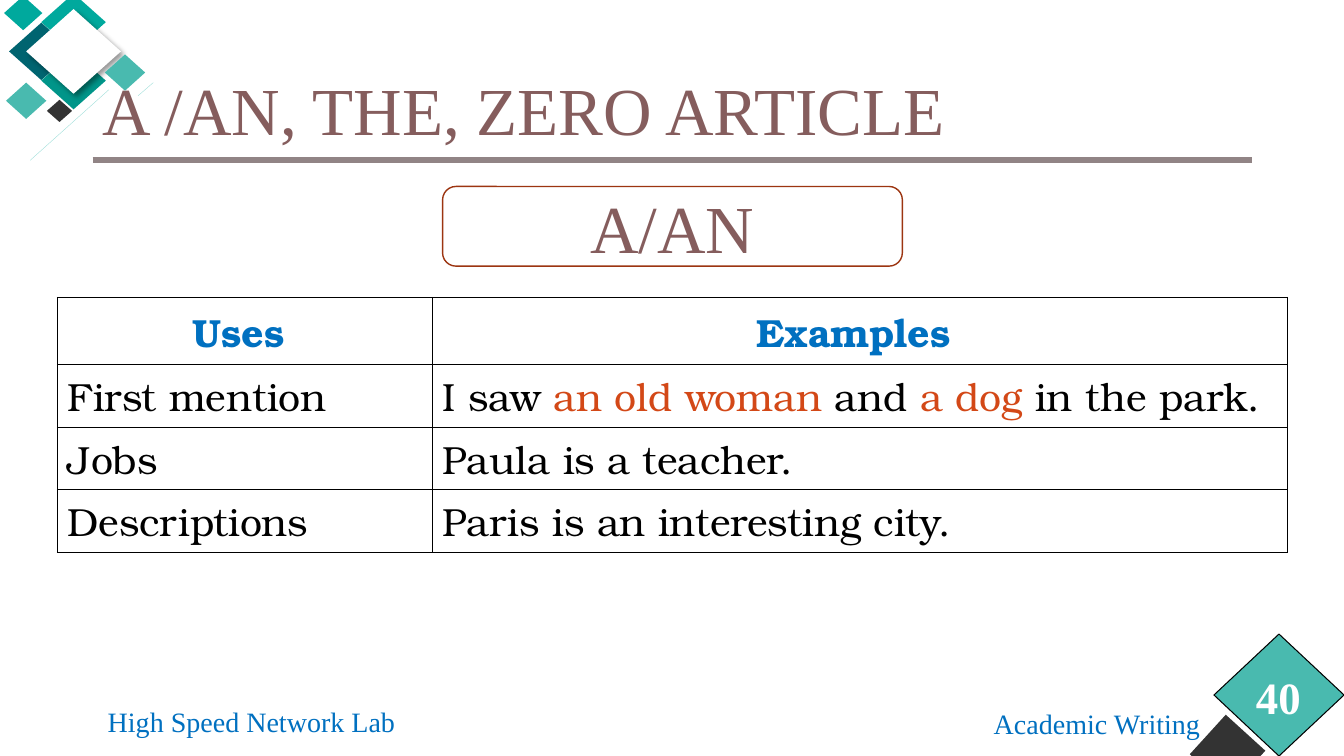
from dataclasses import dataclass

from lxml import etree
from pptx import Presentation
from pptx.dml.color import RGBColor
from pptx.enum import shapes, text
from pptx.oxml import parse_xml
from pptx.oxml import ns
from pptx.util import Inches, Pt


@dataclass(frozen=True)
class Theme:
    serif: str = "Times New Roman"
    bookish: str = "TeX Gyre Bonum"
    white: str = "FFFFFF"
    black: str = "000000"
    heading: str = "855D5D"
    rule: str = "918485"
    blue: str = "0070C0"
    accent: str = "D34817"
    frame: str = "9C3511"
    teal: str = "49BAAF"
    green: str = "00A99D"
    mid_green: str = "009589"
    deep: str = "006470"
    pale: str = "99DDD8"
    dark: str = "333333"
    title_size: int = 48
    number_size: int = 32
    table_size: int = 28
    footer_size: int = 20


T = Theme()
LEFT, CENTER = text.PP_ALIGN.LEFT, text.PP_ALIGN.CENTER
MIDDLE, TOP = text.MSO_ANCHOR.MIDDLE, text.MSO_ANCHOR.TOP


def rgb(value):
    return RGBColor.from_string(value)


def inches(box):
    return [Inches(v) for v in box]


def write(tf, runs, size, color, font=T.serif, bold=False, align=LEFT, anchor=MIDDLE):
    """Fill a frame with one paragraph; runs is a string or (words, color) pairs."""
    tf.word_wrap = True
    tf.vertical_anchor = anchor
    p = tf.paragraphs[0]
    p.alignment = align
    for words, run_color in [(runs, color)] if isinstance(runs, str) else runs:
        r = p.add_run()
        r.text = words
        r.font.name, r.font.size, r.font.bold = font, Pt(size), bold
        r.font.color.rgb = rgb(run_color)
    return p


def add_text(s, box, words, size, color, **style):
    return write(s.shapes.add_textbox(*inches(box)).text_frame, words, size, color, **style)


def add_filled(s, kind, box, fill, line=None, width=1):
    sp = s.shapes.add_shape(kind, *inches(box))
    sp.shadow.inherit = False
    sp.fill.solid()
    sp.fill.fore_color.rgb = rgb(fill)
    if line:
        sp.line.color.rgb = rgb(line)
        sp.line.width = Pt(width)
    else:
        sp.line.fill.background()
    return sp


def add_diamond(s, box, fill, **line):
    return add_filled(s, shapes.MSO_SHAPE.DIAMOND, box, fill, **line)


def add_line(s, start, end, color, width):
    c = s.shapes.add_connector(shapes.MSO_CONNECTOR.STRAIGHT, *inches(start + end))
    c.line.color.rgb = rgb(color)
    c.line.width = Pt(width)
    etree.SubElement(c._element.spPr, ns.qn("a:effectLst"))


def cast_shadow(sp):
    effects = sp._element.spPr.find(ns.qn("a:effectLst"))
    effects.append(parse_xml(
        f'<a:outerShdw {ns.nsdecls("a")} blurRad="{Pt(4)}" dist="{Pt(3)}" dir="2700000" '
        'algn="tl" rotWithShape="0"><a:srgbClr val="000000"><a:alpha val="40000"/>'
        '</a:srgbClr></a:outerShdw>'))


def corner_ornament(s, x, y):
    """Cluster of diamonds around a white one centred on x, y."""
    def diamond(dx, dy, w, h, fill):
        return add_diamond(s, (x + dx - w / 2, y + dy - h / 2, w, h), fill)

    add_line(s, (x + 0.35, y + 0.38), (x - 0.43, y + 1.08), T.pale, 0.25)
    add_line(s, (x + 0.64, y + 0.44), (x + 0.79, y + 0.31), T.pale, 0.25)
    for dx, dy, fill in [(-0.32, 0, T.deep), (0, -0.29, T.green), (0, 0.29, T.mid_green)]:
        diamond(dx, dy, 0.64, 0.57, fill)
    diamond(-0.5, -0.38, 0.38, 0.34, T.green)
    diamond(-0.14, 0.59, 0.25, 0.22, T.dark)
    cast_shadow(diamond(0, 0, 0.94, 0.84, T.white))
    for dx, dy in [(0.51, 0.21), (-0.47, 0.49)]:
        diamond(dx, dy, 0.4, 0.36, T.teal)


def title_region(s, x, y, w, h):
    title = s.shapes.title
    title.left, title.top, title.width, title.height = inches((x, y, w, h))
    p = write(title.text_frame, "A /AN, THE, ZERO ARTICLE", T.title_size, T.heading)
    p.line_spacing = 0.9
    add_line(s, (x, y + 1.19), (x + w, y + 1.19), T.rule, 4.5)


def topic_badge(s, box, words):
    sp = add_filled(s, shapes.MSO_SHAPE.ROUNDED_RECTANGLE, box, T.white, line=T.frame)
    write(sp.text_frame, words, T.title_size, T.heading, align=CENTER)


def border_cell(cell):
    tc_pr = cell._tc.get_or_add_tcPr()
    for i, side in enumerate(("lnL", "lnR", "lnT", "lnB")):
        tc_pr.insert(i, parse_xml(
            f'<a:{side} {ns.nsdecls("a")} w="{Pt(1)}"><a:solidFill>'
            f'<a:srgbClr val="{T.black}"/></a:solidFill></a:{side}>'))


def usage_table(s, x, y, widths, heights, rows):
    box = (x, y, sum(widths), sum(heights))
    table = s.shapes.add_table(len(rows), len(widths), *inches(box)).table
    table.first_row = table.horz_banding = False
    for column, width in zip(table.columns, widths):
        column.width = Inches(width)
    for i, (row, height) in enumerate(zip(rows, heights)):
        table.rows[i].height = Inches(height)
        header = i == 0
        for j, words in enumerate(row):
            cell = table.cell(i, j)
            cell.fill.background()
            border_cell(cell)
            write(cell.text_frame, words, T.table_size, T.blue if header else T.black,
                  font=T.bookish, bold=header, align=CENTER if header else LEFT, anchor=TOP)


def footer(s, x, y):
    add_text(s, (x, y, 3.32, 0.46), "High Speed Network Lab", T.footer_size, T.blue)
    p = add_text(s, (x + 8.74, y + 0.03, 2.34, 0.44), "Academic Writing",
                 T.footer_size, T.blue, align=CENTER, anchor=TOP)
    p.space_before = Pt(0)


def page_number(s, x, y, number):
    add_diamond(s, (x - 0.24, y + 0.8, 0.75, 0.75), T.dark).rotation = 357.3
    add_diamond(s, (x, y, 1.29, 1.21), T.teal, line=T.black, width=0.75)
    add_text(s, (x - 0.08, y + 0.24, 1.44, 0.76), number, T.number_size, T.white,
             bold=True, align=CENTER)


def article_slide(prs):
    s = prs.slides.add_slide(prs.slide_layouts[5])
    corner_ornament(s, 0.73, 0.51)
    title_region(s, 0.92, 0.4, 11.5, 1.45)
    topic_badge(s, (4.39, 1.85, 4.56, 0.79), "A/AN")
    sentence = [("I saw ", T.black), ("an old woman ", T.accent), ("and ", T.black),
                ("a dog ", T.accent), ("in the park.", T.black)]
    usage_table(s, 0.57, 2.95, (3.72, 8.48), (0.67, 0.62, 0.62, 0.62), [
        ("Uses ", "Examples "),
        ("First mention", sentence),
        ("Jobs", "Paula is a teacher."),
        ("Descriptions", "Paris is an interesting city."),
    ])
    footer(s, 0.97, 6.93)
    page_number(s, 12.04, 6.29, "40")


def main():
    prs = Presentation()
    prs.slide_width, prs.slide_height = Inches(13.33), Inches(7.5)
    article_slide(prs)
    prs.save("out.pptx")


if __name__ == "__main__":
    main()
